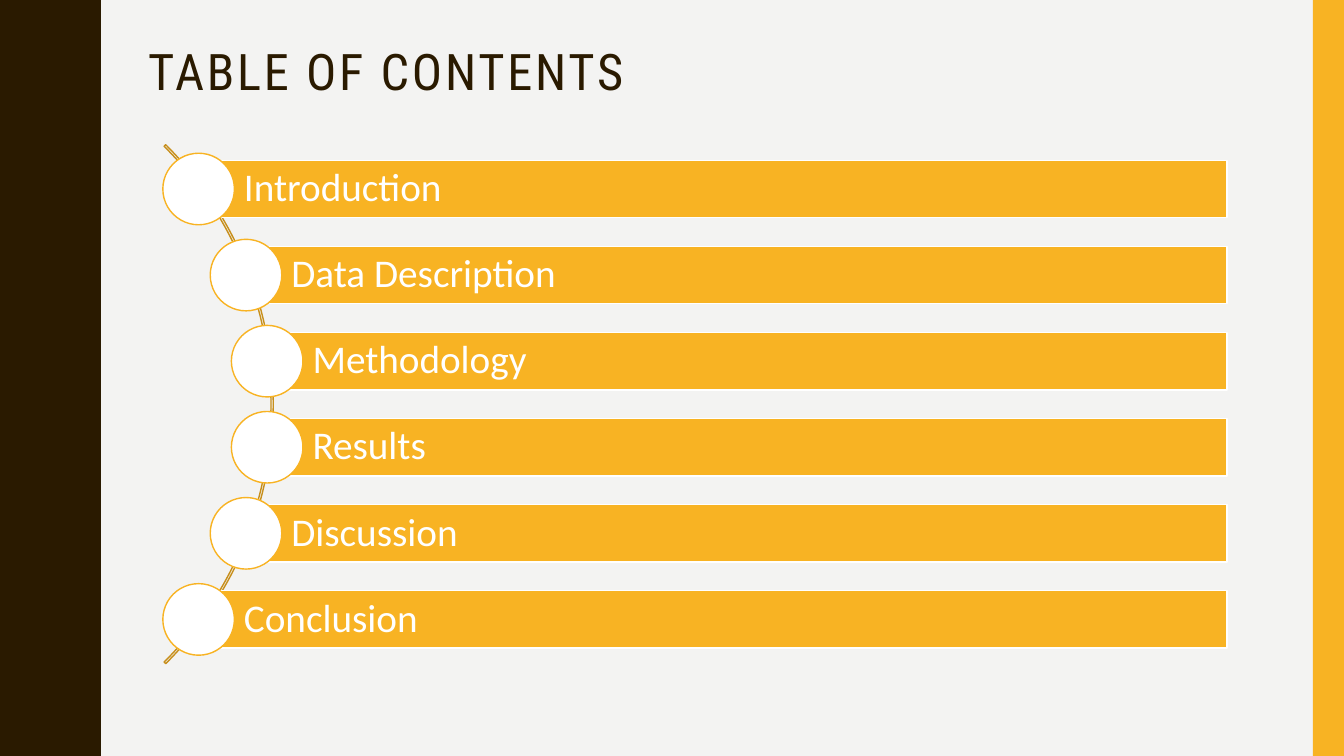
import pptx
import pptx.util
import pptx.dml.color
import pptx.enum.shapes
import pptx.enum.text

Inches = pptx.util.Inches
Pt = pptx.util.Pt
SHAPES = pptx.enum.shapes.MSO_SHAPE
ANCHORS = pptx.enum.text.MSO_ANCHOR

BROWN, AMBER, OCHRE = "2A1A00", "F8B323", "C78F1C"
WHITE, PAPER = "FFFFFF", "F3F3F2"
SLIDE_W, SLIDE_H = 13.33, 7.5

# Section names with the left edge of their bars
SECTIONS = [
    ("Introduction", 1.97),
    ("Data Description", 2.44),
    ("Methodology", 2.65),
    ("Results", 2.65),
    ("Discussion", 2.44),
    ("Conclusion", 1.97),
]
FIRST_TOP, LAST_TOP = 1.59, 5.86
BAR_RIGHT, BAR_H, DOT = 12.17, 0.57, 0.71

# Right edge of the wavy band, from trough to crest
WAVE_PERIOD = 1.5
HALF_WAVE = [
    (0.78, 0), (0.78, 0.07), (0.79, 0.14), (0.8, 0.2), (0.81, 0.25),
    (0.83, 0.29), (0.85, 0.33), (0.87, 0.38), (0.89, 0.42), (0.91, 0.46),
    (0.93, 0.5), (0.95, 0.55), (0.96, 0.61), (0.97, 0.68), (0.97, 0.75),
]


def color(hex_value):
    return pptx.dml.color.RGBColor.from_string(hex_value)


def paint(shape, fill=None, line=None):
    shape.shadow.inherit = False
    if fill:
        shape.fill.solid()
        shape.fill.fore_color.rgb = color(fill)
    else:
        shape.fill.background()
    if line:
        shape.line.color.rgb = color(line)
        shape.line.width = Pt(1)
    else:
        shape.line.fill.background()


def add_shape(slide, kind, left, top, width, height, fill=None, line=None):
    shape = slide.shapes.add_shape(
        kind, Inches(left), Inches(top), Inches(width), Inches(height))
    paint(shape, fill, line)
    return shape


def write(shape, text, *, size, font, ink, anchor, insets, spacing=0):
    frame = shape.text_frame
    frame.word_wrap = True
    frame.vertical_anchor = anchor
    (frame.margin_left, frame.margin_top,
     frame.margin_right, frame.margin_bottom) = map(Inches, insets)
    paragraph = frame.paragraphs[0]
    paragraph.alignment = pptx.enum.text.PP_ALIGN.LEFT
    paragraph.line_spacing = 0.9
    run = paragraph.add_run()
    run.text = text
    run.font.size = Pt(size)
    run.font.name = font
    run.font.color.rgb = color(ink)
    if spacing:
        run.font._element.set("spc", str(spacing * 100))


def add_wavy_band(slide):
    falling = [(x, WAVE_PERIOD - y) for x, y in reversed(HALF_WAVE[:-1])]
    wave = HALF_WAVE + falling
    edge = [(x, y + period * WAVE_PERIOD)
            for period in range(round(SLIDE_H / WAVE_PERIOD)) for x, y in wave]
    builder = slide.shapes.build_freeform(0, 0, scale=Inches(1))
    builder.add_line_segments(edge + [(0, SLIDE_H)], close=True)
    paint(builder.convert_to_shape(), BROWN)


def add_title(slide, text):
    title = slide.shapes.add_textbox(
        Inches(1.37), Inches(0.42), Inches(11.13), Inches(1.63))
    write(title, text, size=36, font="Roboto Condensed", ink=BROWN,
          anchor=ANCHORS.TOP, insets=(0.1, 0.05, 0.1, 0.05), spacing=2)


def add_arc(slide):
    arc = add_shape(slide, SHAPES.BLOCK_ARC, -4.57, 0.37, 7.28, 7.28, line=OCHRE)
    for index, value in enumerate((189, 27, 0.003)):
        arc.adjustments[index] = value


def add_section(slide, name, left, top):
    bar = add_shape(slide, SHAPES.RECTANGLE, left, top,
                    BAR_RIGHT - left, BAR_H, AMBER, WHITE)
    write(bar, name, size=28, font="Calibri", ink=WHITE,
          anchor=ANCHORS.MIDDLE, insets=(0.45, 0.08, 0.08, 0.08))
    add_shape(slide, SHAPES.OVAL, left - DOT / 2, top + (BAR_H - DOT) / 2,
              DOT, DOT, WHITE, AMBER)


def main():
    deck = pptx.Presentation()
    deck.slide_width, deck.slide_height = Inches(SLIDE_W), Inches(SLIDE_H)
    slide = deck.slides.add_slide(deck.slide_layouts[6])

    # Background and side bands
    slide.background.fill.solid()
    slide.background.fill.fore_color.rgb = color(PAPER)
    add_wavy_band(slide)
    add_shape(slide, SHAPES.RECTANGLE, 13.02, 0, 0.31, SLIDE_H, AMBER)

    add_title(slide, "TABLE OF CONTENTS")

    # Sections along the arc
    add_arc(slide)
    pitch = (LAST_TOP - FIRST_TOP) / (len(SECTIONS) - 1)
    for row, (name, left) in enumerate(SECTIONS):
        add_section(slide, name, left, FIRST_TOP + row * pitch)

    deck.save("out.pptx")


if __name__ == "__main__":
    main()
